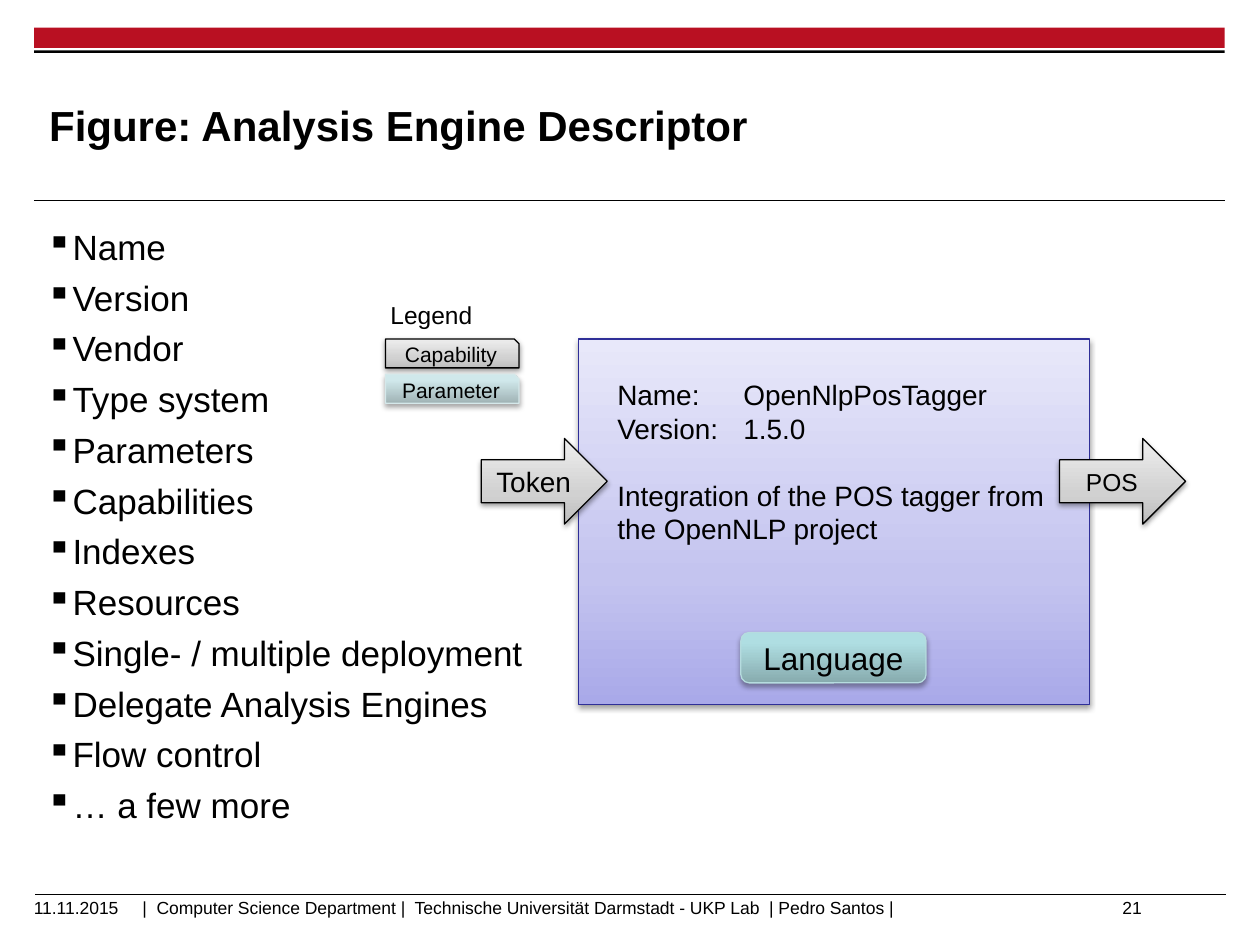
"""Build the slide that explains an analysis engine descriptor."""
from dataclasses import dataclass, field

from lxml import etree
from pptx import Presentation
from pptx import util as u
from pptx.dml.color import RGBColor
from pptx.enum import shapes, text
from pptx.oxml import ns, parse_xml

BLACK = RGBColor(0x00, 0x00, 0x00)
RED = RGBColor(0xB9, 0x10, 0x22)
NAVY = RGBColor(0x2F, 0x2F, 0x98)
TEAL = RGBColor(0xB6, 0xDC, 0xDF)
PALE_TEAL = RGBColor(0xD5, 0xE8, 0xEA)

LAVENDER_STOPS = ((0, "A9A9E9"), (35, "C4C4EF"), (100, "E8E8FA"))
GREY_STOPS = ((0, "BDBDBD"), (35, "D1D1D1"), (100, "EEEEEE"))
TEAL_STOPS = ((0, "87ABAE"), (80, "AFDEE2"), (100, "AFE0E4"))
PALE_TEAL_STOPS = ((0, "A0B3B5"), (80, "D0E8EB"), (100, "D1EAEC"))

KIND = shapes.MSO_SHAPE
LEFT, CENTER, RIGHT = text.PP_ALIGN.LEFT, text.PP_ALIGN.CENTER, text.PP_ALIGN.RIGHT
TOP, MIDDLE = text.MSO_ANCHOR.TOP, text.MSO_ANCHOR.MIDDLE
NO_INSETS = (0, 0, 0, 0)
DEFAULT_INSETS = (0.1, 0.05, 0.1, 0.05)

TOPICS = (
    "Name", "Version", "Vendor", "Type system", "Parameters", "Capabilities",
    "Indexes", "Resources", "Single- / multiple deployment",
    "Delegate Analysis Engines", "Flow control", "… a few more",
)


@dataclass(frozen=True)
class Label:
    """Text of a box with its format."""
    lines: tuple
    size: float
    align: int = LEFT
    anchor: int = TOP
    insets: tuple = DEFAULT_INSETS
    bold: bool = False
    spaces: dict = field(default_factory=dict)
    bullet: str = ""


@dataclass(frozen=True)
class Block:
    """Gradient shape of the engine diagram."""
    kind: int
    box: tuple
    stops: tuple
    outline: RGBColor
    label: Label
    shadow: tuple = (38, 1.6)


@dataclass(frozen=True)
class TextBox:
    """Plain text on the slide."""
    box: tuple
    label: Label


def centered(caption: str, size: float) -> Label:
    """Return a one-line label in the middle of its shape."""
    return Label((caption,), size, CENTER, MIDDLE)


def set_all(target, values: dict) -> None:
    """Set every attribute named in values."""
    for name, value in values.items():
        setattr(target, name, value)


def add_bullet(paragraph, character: str) -> None:
    """Give a paragraph a hanging bullet."""
    properties = paragraph._p.get_or_add_pPr()
    properties.set("marL", str(u.Inches(0.2)))
    properties.set("indent", str(u.Inches(-0.2)))
    etree.SubElement(properties, ns.qn("a:buChar")).set("char", character)


def write_label(shape, label: Label) -> None:
    """Fill a shape with formatted paragraphs."""
    frame = shape.text_frame
    sides = ("margin_left", "margin_top", "margin_right", "margin_bottom")
    set_all(frame, {"word_wrap": True, "vertical_anchor": label.anchor,
                    **{side: u.Inches(inset) for side, inset in zip(sides, label.insets)}})
    for index, line in enumerate(label.lines):
        paragraph = frame.add_paragraph() if index else frame.paragraphs[0]
        paragraph.text = line
        set_all(paragraph, {"alignment": label.align,
                            "space_before": u.Pt(label.spaces.get(index, 0))})
        if label.bullet:
            add_bullet(paragraph, label.bullet)
        set_all(paragraph.font, {"name": "Arial", "size": u.Pt(label.size), "bold": label.bold})
        paragraph.font.color.rgb = BLACK


def add_text(slide, item: TextBox) -> None:
    """Add a text box."""
    write_label(slide.shapes.add_textbox(*map(u.Inches, item.box)), item.label)


def add_bar(slide, box: tuple, color: RGBColor) -> None:
    """Add a solid bar without outline."""
    shape = slide.shapes.add_shape(KIND.RECTANGLE, *map(u.Inches, box))
    shape.shadow.inherit = False
    shape.fill.solid()
    shape.fill.fore_color.rgb = color
    shape.line.fill.background()


def add_rule(slide, left: float, top: float) -> None:
    """Add a thin horizontal line across the slide."""
    ends = map(u.Inches, (left, top, left + 9.45, top))
    connector = slide.shapes.add_connector(shapes.MSO_CONNECTOR.STRAIGHT, *ends)
    connector.line.width = u.Pt(0.6)
    connector.line.color.rgb = BLACK
    etree.SubElement(connector._element.spPr, ns.qn("a:effectLst"))


def add_block(slide, block: Block) -> None:
    """Add a shape with an upward gradient, a shadow and a label."""
    shape = slide.shapes.add_shape(block.kind, *map(u.Inches, block.box))
    shape.shadow.inherit = False
    shape.line.color.rgb = block.outline
    shape.line.width = u.Pt(0.75)
    stops = "".join(f'<a:gs pos="{position * 1000}"><a:srgbClr val="{color}"/></a:gs>'
                    for position, color in block.stops)
    gradient = parse_xml(f'<a:gradFill {ns.nsdecls("a")} rotWithShape="1"><a:gsLst>{stops}</a:gsLst>'
                         '<a:lin ang="16200000" scaled="0"/></a:gradFill>')
    properties = shape._element.spPr
    properties.find(ns.qn("a:prstGeom")).addnext(gradient)
    opacity, distance = block.shadow
    properties.find(ns.qn("a:effectLst")).append(parse_xml(
        f'<a:outerShdw {ns.nsdecls("a")} blurRad="{u.Pt(3.1)}" dist="{u.Pt(distance)}" '
        f'dir="5400000" rotWithShape="0"><a:srgbClr val="000000">'
        f'<a:alpha val="{opacity * 1000}"/></a:srgbClr></a:outerShdw>'))
    write_label(shape, block.label)


DESCRIPTION = Label(
    ("Name:\tOpenNlpPosTagger", "Version:\t1.5.0",
     "Integration of the POS tagger from the OpenNLP project"),
    16, insets=(0.31,) * 4, spaces={2: 19})

BLOCKS = (
    Block(KIND.RECTANGLE, (4.59, 2.69, 4.06, 2.9), LAVENDER_STOPS, NAVY, DESCRIPTION),
    Block(KIND.RIGHT_ARROW, (3.82, 3.48, 1, 0.68), GREY_STOPS, BLACK, centered("Token", 16)),
    Block(KIND.RIGHT_ARROW, (8.41, 3.48, 1, 0.68), GREY_STOPS, BLACK, centered("POS", 14)),
    Block(KIND.ROUNDED_RECTANGLE, (5.88, 5.02, 1.47, 0.4), TEAL_STOPS, TEAL,
          centered("Language", 18), (35, 1.8)),
    Block(KIND.SNIP_1_RECTANGLE, (3.06, 2.69, 1.06, 0.23), GREY_STOPS, BLACK,
          centered("Capability", 12)),
    Block(KIND.SNIP_1_RECTANGLE, (3.06, 2.97, 1.06, 0.23), PALE_TEAL_STOPS, PALE_TEAL,
          centered("Parameter", 12), (35, 1.8)),
)

FOOTER = "|  Computer Science Department |  Technische Universität Darmstadt - UKP Lab  | Pedro Santos |"

TEXTS = (
    TextBox((0.39, 0.53, 7.52, 0.92), Label(("Figure: Analysis Engine Descriptor",), 24,
                                            anchor=MIDDLE, insets=NO_INSETS, bold=True)),
    TextBox((0.27, 1.74, 4.64, 5.24), Label(
        TOPICS, 20, spaces={index: 5 for index in range(1, len(TOPICS))}, bullet="▪")),
    TextBox((1.13, 7.12, 7.54, 0.25), Label((FOOTER,), 10, insets=NO_INSETS)),
    TextBox((0.17, 7, 1.17, 0.4), Label(("11.11.2015",), 10, anchor=MIDDLE)),
    TextBox((6.83, 7, 2.33, 0.4), Label(("21",), 10, RIGHT, MIDDLE)),
    TextBox((3, 2.33, 1.12, 0.34), Label(("Legend",), 14)),
)


def main() -> None:
    """Build and save the presentation."""
    presentation = Presentation()
    set_all(presentation, {"slide_width": u.Inches(10), "slide_height": u.Inches(7.5)})
    slide = presentation.slides.add_slide(presentation.slide_layouts[6])
    add_bar(slide, (0.27, 0.22, 9.45, 0.16), RED)
    add_bar(slide, (0.27, 0.4, 9.45, 0.02), BLACK)
    add_rule(slide, 0.27, 1.59)
    add_rule(slide, 0.28, 7.1)
    for item in TEXTS:
        add_text(slide, item)
    for block in BLOCKS:
        add_block(slide, block)
    presentation.save("out.pptx")


if __name__ == "__main__":
    main()
